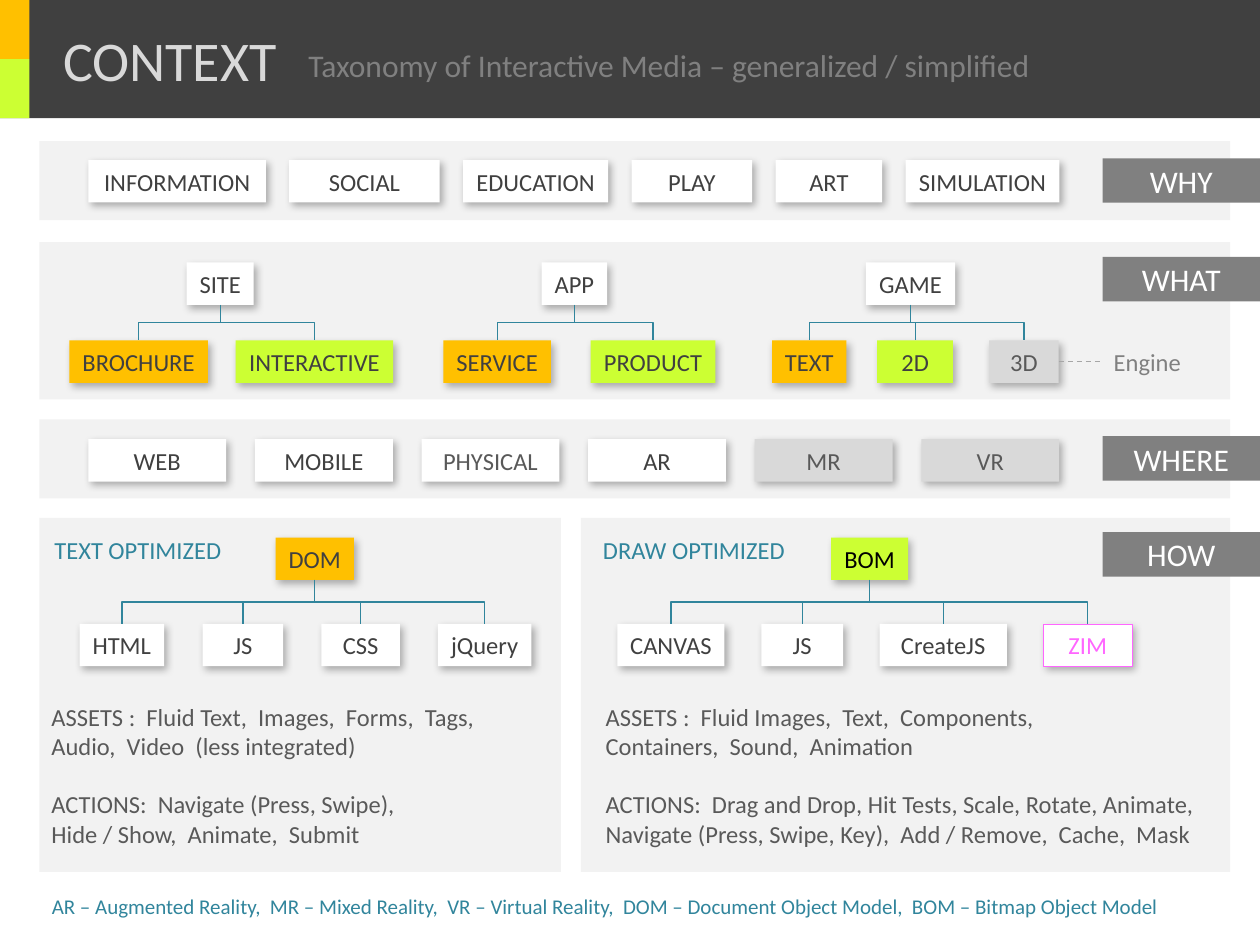
"""Build the CONTEXT slide: a taxonomy of interactive media."""
from lxml.etree import SubElement
from pptx import Presentation
from pptx.dml.color import RGBColor
from pptx.enum.dml import MSO_LINE
from pptx.enum.shapes import MSO_CONNECTOR as CONN, MSO_SHAPE as SHAPE
from pptx.enum.text import MSO_ANCHOR as ANCHOR, PP_ALIGN as ALIGN
from pptx.oxml.ns import qn
from pptx.util import Pt

C = {"dark": "404040", "title": "D9D9D9", "grey": "808080", "panel": "F2F2F2",
     "white": "FFFFFF", "black": "000000", "orange": "FFC000", "lime": "CCFF33",
     "teal": "31859C", "body": "595959", "off": "D9D9D9", "pink": "FF66FF",
     "dash": "A6A6A6"}
BOX_H = 24.2


def rgb(name):
    return RGBColor.from_string(C[name])


def write(tf, lines, size, color, align=ALIGN.LEFT, anchor=ANCHOR.TOP, wrap=True):
    tf.word_wrap = wrap
    tf.vertical_anchor = anchor
    for i, line in enumerate(lines):
        p = tf.paragraphs[0] if i == 0 else tf.add_paragraph()
        p.text = line
        p.alignment = align
        p.font.name, p.font.size = "Calibri", Pt(size)
        p.font.color.rgb = rgb(color)


def add_text(s, x, y, w, h, lines, size, color):
    tb = s.shapes.add_textbox(Pt(x), Pt(y), Pt(w), Pt(h))
    write(tb.text_frame, lines, size, color)
    return tb


def add_rect(s, x, y, w, h, fill):
    sp = s.shapes.add_shape(SHAPE.RECTANGLE, Pt(x), Pt(y), Pt(w), Pt(h))
    sp.fill.solid()
    sp.fill.fore_color.rgb = rgb(fill)
    sp.line.fill.background()
    sp.shadow.inherit = False
    return sp


def add_tag(s, y, text):
    sp = add_rect(s, 630, y, 90, 25.4, "grey")
    write(sp.text_frame, [text], 18, "white", ALIGN.CENTER, ANCHOR.MIDDLE)


def add_box(s, y, text, x, w, fill="white", color="dark"):
    sp = add_rect(s, x, y, w, BOX_H, fill)
    write(sp.text_frame, [text], 14, color, ALIGN.CENTER, ANCHOR.MIDDLE, False)
    effects = sp._element.spPr.find(qn("a:effectLst"))
    shadow = SubElement(effects, qn("a:outerShdw"), blurRad=str(Pt(4.5)),
                        dist=str(Pt(2.6)), dir=str(53 * 60000), rotWithShape="0")
    black = SubElement(shadow, qn("a:srgbClr"), val=C["black"])
    SubElement(black, qn("a:alpha"), val="30000")
    return sp


def add_link(s, kind, start, start_site, end, end_site, color):
    cxn = s.shapes.add_connector(kind, 0, 0, 0, 0)
    cxn.begin_connect(start, start_site)
    cxn.end_connect(end, end_site)
    cxn.line.color.rgb = rgb(color)
    cxn.line.width = Pt(0.75)
    SubElement(cxn._element.spPr, qn("a:effectLst"))
    return cxn


def add_branch(s, root, leaf):
    cxn = add_link(s, CONN.ELBOW, root, 2, leaf, 0, "teal")
    x1, y1 = root.left + root.width // 2, root.top + root.height
    x2, y2 = leaf.left + leaf.width // 2, leaf.top
    run, drop = abs(x2 - x1), y2 - y1
    cxn.left, cxn.top = (x1 + x2 - drop) // 2, (y1 + y2 - run) // 2
    cxn.width, cxn.height = drop, run
    xfrm = cxn._element.spPr.find(qn("a:xfrm"))
    xfrm.set("rot", "16200000" if x2 > x1 else "5400000")
    xfrm.set("flipH", "1" if x2 > x1 else "0")
    xfrm.set("flipV", "0")


def add_tree(s, root_y, leaf_y, root, leaves):
    top = add_box(s, root_y, *root)
    boxes = [add_box(s, leaf_y, *leaf) for leaf in leaves]
    for box in boxes:
        add_branch(s, top, box)
    return boxes


def add_header(s):
    add_rect(s, 0, 0, 720, 67.5, "dark")
    add_rect(s, 0, 0, 16.8, 33.75, "orange")
    add_rect(s, 0, 33.75, 16.8, 33.75, "lime")
    title = s.shapes.title
    title.left, title.top, title.width, title.height = Pt(28.8), Pt(10.8), Pt(138), Pt(46)
    write(title.text_frame, ["CONTEXT"], 32, "title", wrap=False)
    s.shapes._spTree.append(title._element)
    add_text(s, 169.2, 23, 432, 29, ["Taxonomy of Interactive Media – generalized / simplified"],
             18, "grey")


def add_why(s):
    x = 50.5
    for text, w in [("INFORMATION", 101.5), ("SOCIAL", 86), ("EDUCATION", 83),
                    ("PLAY", 69), ("ART", 61), ("SIMULATION", 88)]:
        add_box(s, 91.5, text, x, w)
        x += w + 13.3


def add_what(s):
    add_tree(s, 150, 194.6, ("SITE", 106.7, 38.3),
             [("BROCHURE", 39.6, 79.2, "orange"), ("INTERACTIVE", 134.7, 90, "lime")])
    add_tree(s, 150, 194.6, ("APP", 309.5, 37.5),
             [("SERVICE", 253.4, 61.4, "orange"), ("PRODUCT", 337.5, 71.3, "lime")])
    games = add_tree(s, 150, 194.6, ("GAME", 494.8, 51),
                     [("TEXT", 441.2, 42.5, "orange"), ("2D", 501.3, 43.3, "lime"),
                      ("3D", 565.2, 39.8, "off", "body")])
    engine = add_text(s, 629.3, 194.6, 60, BOX_H, ["Engine"], 14, "grey")
    cxn = add_link(s, CONN.STRAIGHT, games[-1], 3, engine, 1, "dash")
    cxn.line.dash_style = MSO_LINE.DASH


def add_where(s):
    places = [("WEB", "white", "dark"), ("MOBILE", "white", "dark"),
              ("PHYSICAL", "white", "body"), ("AR", "white", "dark"),
              ("MR", "off", "body"), ("VR", "off", "body")]
    for i, (text, fill, color) in enumerate(places):
        add_box(s, 251, text, 50.5 + 95.2 * i, 78.8, fill, color)


def add_how(s):
    add_text(s, 24, 302, 125, BOX_H, ["TEXT OPTIMIZED"], 14, "teal")
    add_text(s, 337.5, 302, 130, BOX_H, ["DRAW OPTIMIZED"], 14, "teal")
    add_tree(s, 307.2, 356.5, ("DOM", 157.5, 44.7, "orange"),
             [("HTML", 45.5, 48.3), ("JS", 115.8, 46), ("CSS", 183.6, 45),
              ("jQuery", 250.2, 53.5)])
    boxes = add_tree(s, 307.2, 356.5, ("BOM", 475, 44, "lime", "black"),
                     [("CANVAS", 352.8, 61.2), ("JS", 435, 46.8), ("CreateJS", 502.6, 72.8),
                      ("ZIM", 596.2, 50.7, "white", "pink")])
    boxes[-1].line.color.rgb = rgb("pink")
    boxes[-1].line.width = Pt(0.25)
    notes = [(22.3, 270, ["ASSETS :  Fluid Text,  Images,  Forms,  Tags,",
                          "Audio,  Video  (less integrated)",
                          "ACTIONS:  Navigate (Press, Swipe),",
                          "Hide / Show,  Animate,  Submit"]),
             (339, 370, ["ASSETS :  Fluid Images,  Text,  Components,",
                         "Containers,  Sound,  Animation",
                         "ACTIONS:  Drag and Drop, Hit Tests, Scale, Rotate, Animate,",
                         "Navigate (Press, Swipe, Key),  Add / Remove,  Cache,  Mask"])]
    for x, w, lines in notes:
        tb = add_text(s, x, 397.5, w, 92, lines, 14, "body")
        tb.text_frame.paragraphs[2].space_before = Pt(16.5)


def main():
    prs = Presentation()
    prs.slide_width, prs.slide_height = Pt(720), Pt(540)
    s = prs.slides.add_slide(prs.slide_layouts[5])
    add_header(s)
    for x, y, w, h in [(22.5, 80.6, 680.4, 45.2), (22.5, 138.3, 680.4, 90),
                       (22.5, 239.6, 680.4, 45.2), (22.5, 295.9, 298, 202.3),
                       (332, 295.9, 371, 202.3)]:
        add_rect(s, x, y, w, h, "panel")
    for y, text in [(90.5, "WHY"), (146.8, "WHAT"), (249.3, "WHERE"), (304.1, "HOW")]:
        add_tag(s, y, text)
    add_why(s)
    add_what(s)
    add_where(s)
    add_how(s)
    add_text(s, 22.5, 507, 680.4, 21.8,
             ["AR – Augmented Reality,  MR – Mixed Reality,  VR – Virtual Reality,  "
              "DOM – Document Object Model,  BOM – Bitmap Object Model"], 12, "teal")
    prs.save("out.pptx")


if __name__ == "__main__":
    main()
